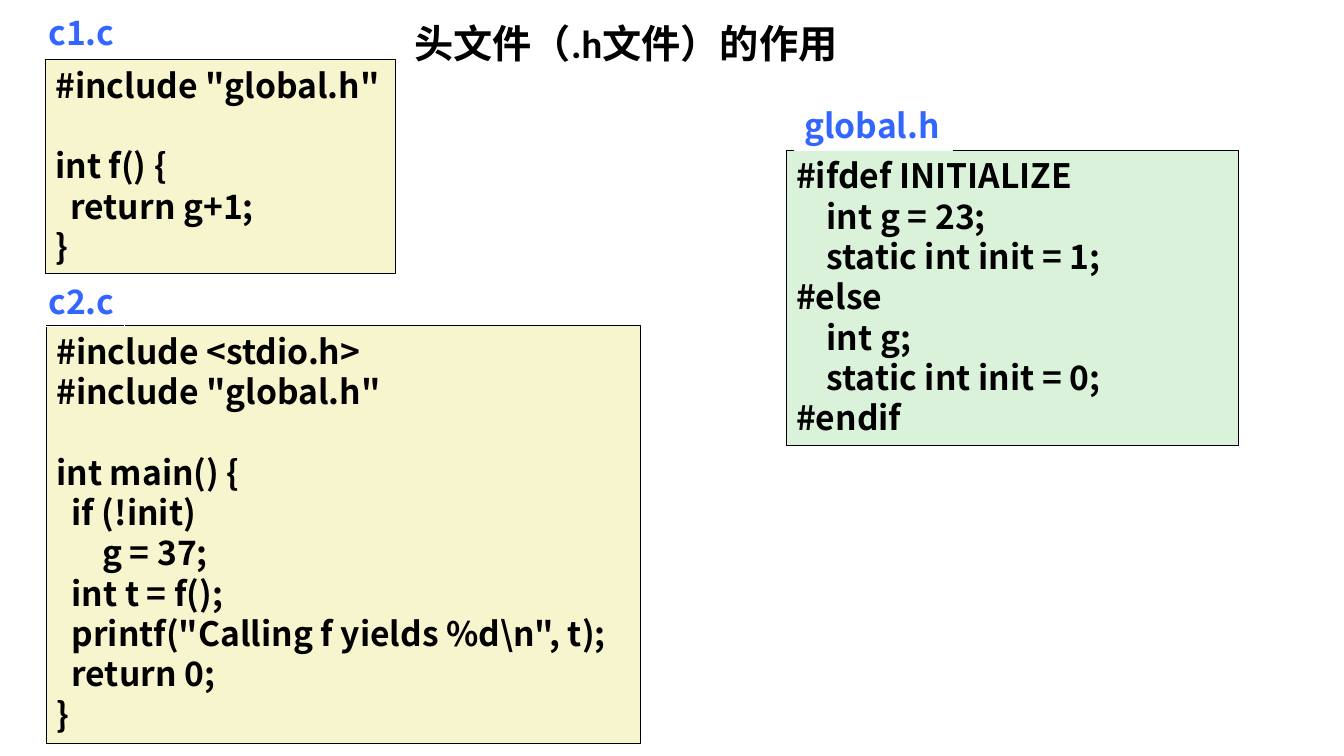
from pptx import Presentation
from pptx.dml.color import RGBColor
from pptx.enum.shapes import MSO_SHAPE
from pptx.enum.text import MSO_ANCHOR, MSO_AUTO_SIZE, PP_ALIGN
from pptx.util import Pt

TITLE = "头文件（.h文件）的作用"
C1_CODE = """#include "global.h"

int f() {
  return g+1;
}"""
GLOBAL_CODE = """#ifdef INITIALIZE
    int g = 23;
    static int init = 1;
#else
    int g;
    static int init = 0;
#endif"""
C2_CODE = r"""#include <stdio.h>
#include "global.h"

int main() {
  if (!init)
      g = 37;
  int t = f();
  printf("Calling f yields %d\n", t);
  return 0;
}"""

COLORS = {"black": "000000", "white": "FFFFFF", "label": "3366FF",
          "source": "F7F5CD", "header": "DBF2DA"}
CODE_FONT = "Noto Sans CJK SC"
LINE_PITCH = 28.8

# code, fill, wrap, (left, top, width, height)
LISTINGS = {
    "c1.c": (C1_CODE, "source", False, (32.4, 42.5, 249.8, 152.6)),
    "global.h": (GLOBAL_CODE, "header", True, (561.6, 107.3, 322.6, 211)),
    "c2.c": (C2_CODE, "source", False, (33.1, 232.6, 424.1, 298.1)),
}
# left, top, width, height
LABELS = {
    "c1.c": (27.4, 5, 61.2, 36),
    "global.h": (567.4, 71.3, 113, 36),
    "c2.c": (27.4, 197.3, 61.2, 36),
}


def rgb(name):
    return RGBColor.from_string(COLORS[name])


def add_code_box(slide, text, bounds, text_color, line_color, fill=None, wrap=False):
    box = slide.shapes.add_shape(MSO_SHAPE.RECTANGLE, *map(Pt, bounds))
    box.shadow.inherit = False
    if fill:
        box.fill.solid()
        box.fill.fore_color.rgb = rgb(fill)
    else:
        box.fill.background()
    box.line.color.rgb = rgb(line_color)
    box.line.width = Pt(0.25)
    frame = box.text_frame
    frame.text = text
    frame.word_wrap = wrap
    frame.auto_size = MSO_AUTO_SIZE.SHAPE_TO_FIT_TEXT
    frame.vertical_anchor = MSO_ANCHOR.TOP
    for code_line in frame.paragraphs:
        code_line.alignment = PP_ALIGN.LEFT
        code_line.line_spacing = Pt(LINE_PITCH)
        code_line.font.name = CODE_FONT
        code_line.font.size = Pt(24)
        code_line.font.bold = True
        code_line.font.color.rgb = rgb(text_color)


def main():
    deck = Presentation()
    deck.slide_width, deck.slide_height = Pt(960), Pt(540)
    slide = deck.slides.add_slide(deck.slide_layouts[5])

    title = slide.shapes.title
    title.left, title.top, title.width, title.height = map(Pt, (148.3, 2.2, 597.6, 56.9))
    title.text_frame.text = TITLE
    title.text_frame.vertical_anchor = MSO_ANCHOR.MIDDLE
    heading = title.text_frame.paragraphs[0]
    heading.alignment = PP_ALIGN.CENTER
    heading.font.name = "Calibri"
    heading.font.size = Pt(28)
    heading.font.bold = True
    heading.font.color.rgb = rgb("black")

    for file_name, (code, fill, wrap, bounds) in LISTINGS.items():
        add_code_box(slide, code, bounds, "black", "black", fill, wrap)
        add_code_box(slide, file_name, LABELS[file_name], "label", "white")

    deck.save("out.pptx")


if __name__ == "__main__":
    main()
